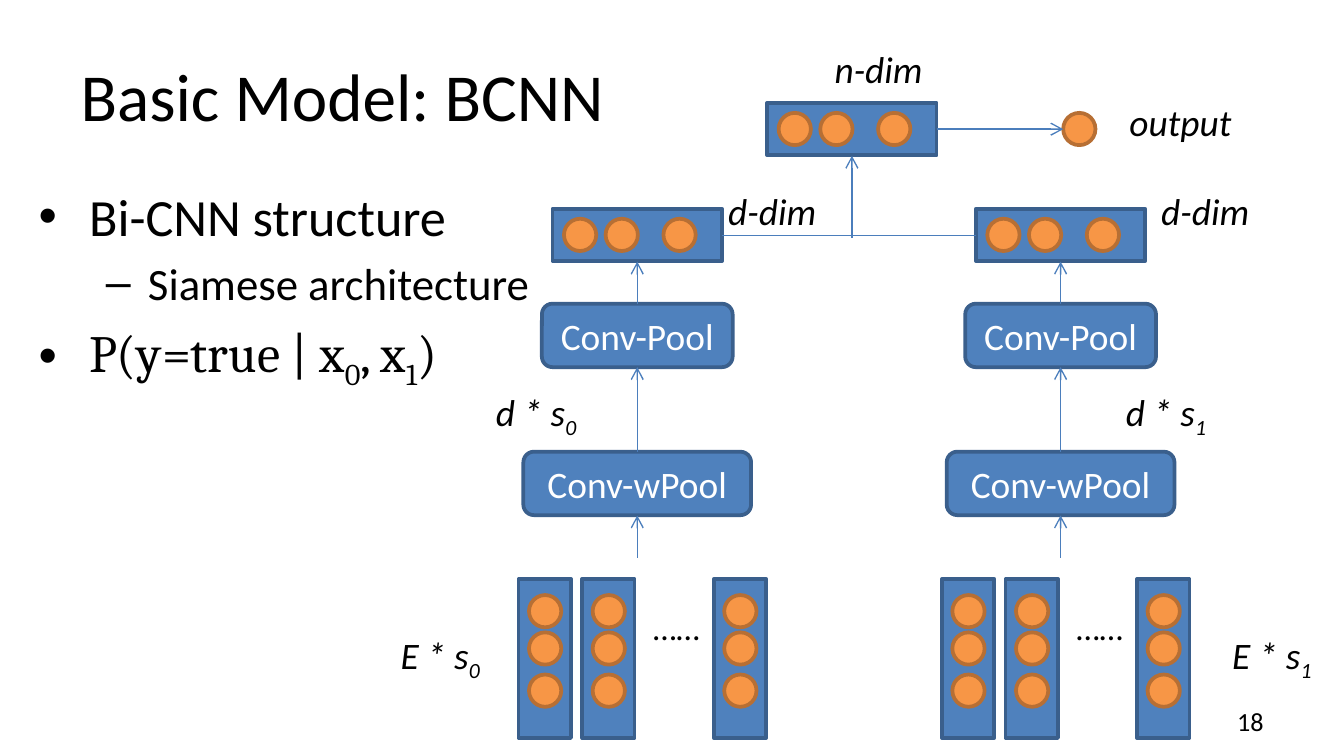
import dataclasses

import lxml.etree
import pptx
import pptx.dml.color
import pptx.enum.shapes
import pptx.enum.text
import pptx.oxml.ns
import pptx.util

Pt = pptx.util.Pt
RGB = pptx.dml.color.RGBColor.from_string
Shape = pptx.enum.shapes.MSO_SHAPE
Align = pptx.enum.text.PP_ALIGN
Anchor = pptx.enum.text.MSO_ANCHOR
qn = pptx.oxml.ns.qn


@dataclasses.dataclass(frozen=True)
class Theme:
    ink: str = "000000"
    white: str = "FFFFFF"
    blue: str = "4F81BD"
    edge: str = "3A5F8C"
    orange: str = "F79646"
    rim: str = "B76F34"
    wire: str = "4B7EBC"
    sans: str = "Calibri"
    serif: str = "Cambria"
    title: int = 36
    head: int = 28
    sub: int = 24
    label: int = 20
    dots: int = 18
    page: int = 14


THEME = Theme()
DOT = 17.3
THICK = 28.1
ROW = 90.7
GAP = 226.8
LEFT = 341.4


def write(para, text, size=THEME.label, color=THEME.ink, font=THEME.sans,
          italic=False, align=Align.LEFT):
    para.alignment = align
    for count, part in enumerate(text.split("~")):
        if not part:
            continue
        run = para.add_run()
        run.text = part
        run.font.size = Pt(size)
        run.font.name = font
        run.font.italic = italic
        run.font.color.rgb = RGB(color)
        if count % 2:
            run._r.get_or_add_rPr().set("baseline", "-25000")


def add_text(slide, text, x, y, w, h, anchor=Anchor.TOP, **style):
    frame = slide.shapes.add_textbox(Pt(x), Pt(y), Pt(w), Pt(h)).text_frame
    frame.word_wrap = True
    frame.vertical_anchor = anchor
    write(frame.paragraphs[0], text, **style)


def add_label(slide, text, x, y, w=73):
    add_text(slide, text, x, y, w, 31.5, italic=True)


def add_form(shapes, kind, x, y, w, h, fill=THEME.blue, edge=THEME.edge):
    form = shapes.add_shape(kind, Pt(x), Pt(y), Pt(w), Pt(h))
    form.shadow.inherit = False
    form.fill.solid()
    form.fill.fore_color.rgb = RGB(fill)
    form.line.color.rgb = RGB(edge)
    form.line.width = Pt(2)
    return form


def add_dot(shapes, x, y):
    add_form(shapes, Shape.OVAL, x, y, DOT, DOT, THEME.orange, THEME.rim)


def add_row(slide, x, y):
    shapes = slide.shapes.add_group_shape().shapes
    add_form(shapes, Shape.RECTANGLE, x, y, ROW, THICK)
    for shift in (6.1, 28.4, 59.4):
        add_dot(shapes, x + shift, y + 5.4)


def add_stack(slide, x, y):
    shapes = slide.shapes.add_group_shape().shapes
    add_form(shapes, Shape.RECTANGLE, x, y, THICK, 85.2)
    for shift in (8.6, 28.6, 51.2):
        add_dot(shapes, x + 5.6, y + shift)


def add_block(slide, text, mid, y, w):
    form = add_form(slide.shapes, Shape.ROUNDED_RECTANGLE, mid - w / 2, y, w, 34)
    form.text_frame.vertical_anchor = Anchor.MIDDLE
    write(form.text_frame.paragraphs[0], text, color=THEME.white,
          align=Align.CENTER)


def add_wire(slide, x1, y1, x2, y2, arrow=True):
    wire = slide.shapes.add_connector(
        pptx.enum.shapes.MSO_CONNECTOR.STRAIGHT, Pt(x1), Pt(y1), Pt(x2), Pt(y2))
    wire.line.color.rgb = RGB(THEME.wire)
    wire.line.width = Pt(0.75)
    if arrow:
        tail = lxml.etree.SubElement(wire.line._get_or_add_ln(), qn("a:tailEnd"))
        tail.set("type", "arrow")
    lxml.etree.SubElement(wire._element.spPr, qn("a:effectLst"))


def add_list(slide, items):
    box = slide.shapes.add_textbox(Pt(13.7), Pt(95), Pt(340.6), Pt(261.4))
    frame = box.text_frame
    frame.word_wrap = True
    for count, (text, level, size, font) in enumerate(items):
        para = frame.paragraphs[0] if count == 0 else frame.add_paragraph()
        mark, left, hang = (("•", 27, 27), ("–", 58.5, 22.5))[level]
        props = para._p.get_or_add_pPr()
        props.set("marL", str(Pt(left)))
        props.set("indent", str(-Pt(hang)))
        lxml.etree.SubElement(props, qn("a:buFont")).set("typeface", "Arial")
        lxml.etree.SubElement(props, qn("a:buChar")).set("char", mark)
        para.level = level
        if count:
            para.space_before = Pt(size * 0.2)
        write(para, text, size=size, font=font)


def add_branch(slide, mid):
    for shift in (-63.6, -29.5, 41):
        add_stack(slide, mid + shift, 310.2)
    add_text(slide, "……", mid + 1.4, 321.8, 42.5, 29, size=THEME.dots)
    add_block(slide, "Conv-wPool", mid, 242, 122)
    add_block(slide, "Conv-Pool", mid, 162.7, 102.2)
    add_row(slide, mid - ROW / 2, 111.8)
    for low, high in ((162.7, 140.2), (242, 196.7), (298.8, 276.2)):
        add_wire(slide, mid, low, mid, high)


def set_title(slide, text):
    title = slide.shapes.title
    title.left, title.top, title.width, title.height = map(
        Pt, (36, 16.6, 440.6, 67.7))
    title.text_frame.vertical_anchor = Anchor.MIDDLE
    write(title.text_frame.paragraphs[0], text, size=THEME.title)


def main():
    deck = pptx.Presentation()
    deck.slide_width, deck.slide_height = Pt(720), Pt(405)
    slide = deck.slides.add_slide(deck.slide_layouts[5])
    set_title(slide, "Basic Model: BCNN")
    add_list(slide, [
        ("Bi-CNN structure", 0, THEME.head, THEME.sans),
        ("Siamese architecture", 1, THEME.sub, THEME.sans),
        ("P(y=true | x~0~, x~1~)", 0, THEME.head, THEME.serif),
    ])

    right = LEFT + GAP
    for mid in (LEFT, right):
        add_branch(slide, mid)

    half = (LEFT + right) / 2 + 1.6
    add_row(slide, half - ROW / 2, 55.1)
    add_wire(slide, LEFT + ROW / 2, 126, right - ROW / 2, 126, arrow=False)
    add_wire(slide, half, 127.4, half, 83.5)
    add_dot(slide.shapes, 569.6, 60.5)
    add_wire(slide, half + ROW / 2, 69.2, 569.6, 69.2)

    for text, x, y, w in (
        ("d-dim", 383, 97.4, 62), ("d-dim", 615, 97.4, 73),
        ("E * s~0~", 207.5, 335, 59), ("E * s~1~", 653, 335, 59),
        ("d * s~0~", 258.6, 205, 59), ("d * s~1~", 596, 205, 59),
        ("n-dim", 440, 21.2, 73), ("output", 598, 49.7, 73),
    ):
        add_label(slide, text, x, y, w)
    add_text(slide, "18", 516, 375.4, 168, 21.6, anchor=Anchor.MIDDLE,
             size=THEME.page, align=Align.RIGHT)
    deck.save("out.pptx")


if __name__ == "__main__":
    main()
